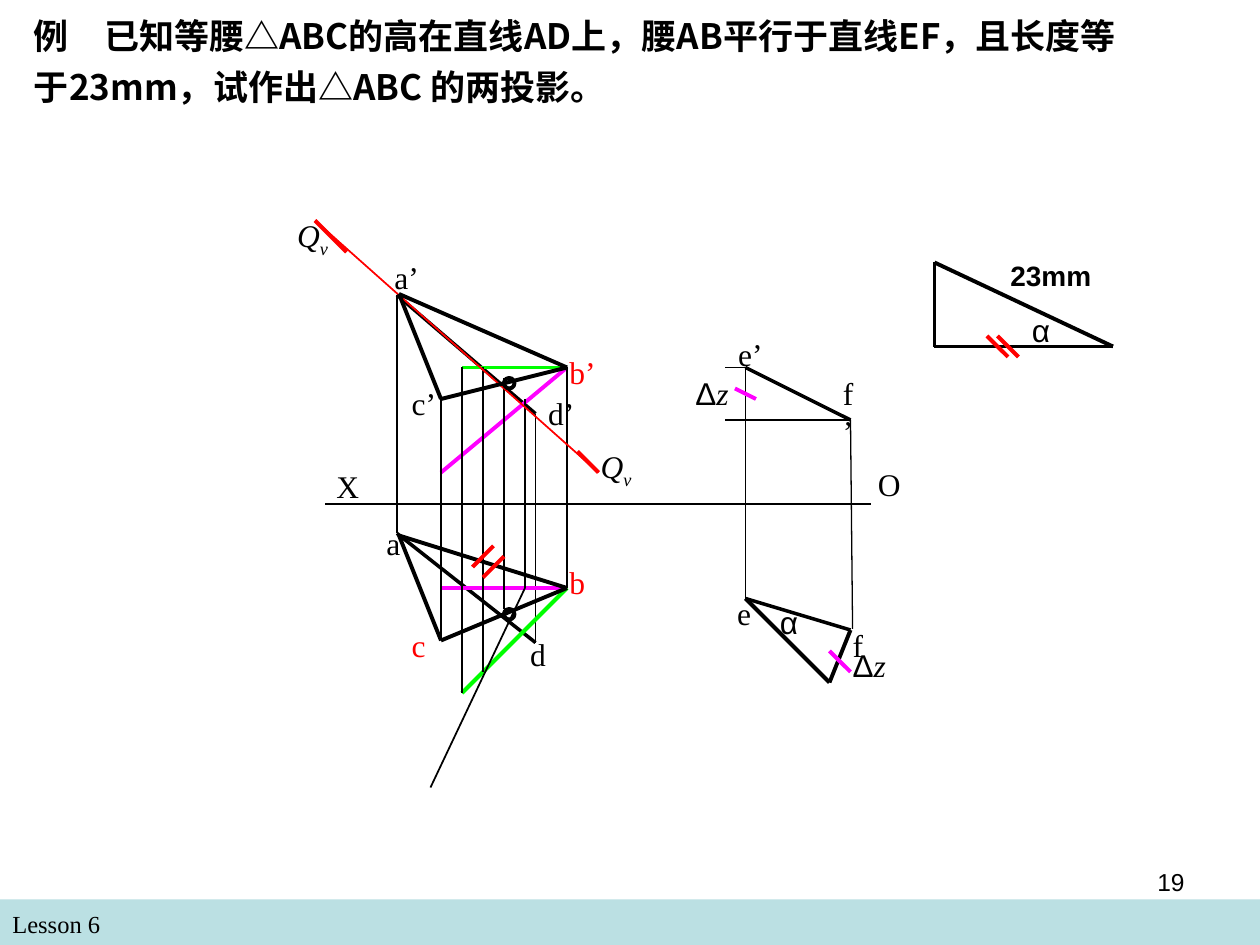
from dataclasses import dataclass

from lxml.etree import SubElement
from pptx import Presentation
from pptx.dml.color import RGBColor
from pptx.enum.shapes import MSO_CONNECTOR, MSO_SHAPE
from pptx.enum.text import MSO_ANCHOR, MSO_AUTO_SIZE, PP_ALIGN
from pptx.oxml.ns import qn
from pptx.util import Cm, Pt


@dataclass(frozen=True)
class Theme:
    black: str = "000000"
    red: str = "FF0000"
    green: str = "00FF00"
    magenta: str = "FF00FF"
    band: str = "BBE0E3"
    serif: str = "Times New Roman"
    sans: str = "Arial"
    heading: str = "Noto Sans CJK SC"
    title_size: float = 20
    label_size: float = 18
    measure_size: float = 16
    footer_size: float = 14
    hairline: float = 0.75
    projector: float = 1
    given: float = 2
    solution: float = 2.25


THEME = Theme()
GRID = 2.54 / 12


class SlideBuilder:
    def __init__(self, presentation, theme):
        self.theme = theme
        self.slide = presentation.slides.add_slide(presentation.slide_layouts[5])

    def add_run(self, paragraph, text, font=None, size=None, color=None,
                bold=False, italic=False, subscript=False):
        run = paragraph.add_run()
        run.text = text
        run.font.name = font or self.theme.serif
        run.font.size = Pt(size or self.theme.label_size)
        run.font.bold = bold
        run.font.italic = italic
        run.font.color.rgb = RGBColor.from_string(color or self.theme.black)
        properties = run.font._element
        SubElement(properties, qn("a:ea")).set("typeface", run.font.name)
        if subscript:
            properties.set("baseline", "-25000")

    def title(self, text, left, top, width, height):
        shape = self.slide.shapes.title
        shape.left, shape.top = Cm(left), Cm(top)
        shape.width, shape.height = Cm(width), Cm(height)
        frame = shape.text_frame
        frame.word_wrap = True
        frame.auto_size = MSO_AUTO_SIZE.NONE
        frame.vertical_anchor = MSO_ANCHOR.TOP
        paragraph = frame.paragraphs[0]
        paragraph.alignment = PP_ALIGN.LEFT
        paragraph.line_spacing = 1.2
        paragraph.space_before = Pt(0)
        self.add_run(paragraph, text, self.theme.heading, self.theme.title_size, bold=True)

    def label(self, runs, left, top, width, height=1.02, wrap=False, align=PP_ALIGN.LEFT):
        shape = self.slide.shapes.add_textbox(Cm(left), Cm(top), Cm(width), Cm(height))
        frame = shape.text_frame
        frame.word_wrap = wrap
        frame.auto_size = MSO_AUTO_SIZE.SHAPE_TO_FIT_TEXT
        paragraph = frame.paragraphs[0]
        paragraph.alignment = align
        for text, style in runs:
            self.add_run(paragraph, text, **style)

    def line(self, start, end, color, width):
        ends = [Cm(value * GRID) for value in (*start, *end)]
        connector = self.slide.shapes.add_connector(MSO_CONNECTOR.STRAIGHT, *ends)
        connector.line.color.rgb = RGBColor.from_string(color)
        connector.line.width = Pt(width)
        SubElement(connector._element.spPr, qn("a:effectLst"))

    def lines(self, segments, color, width):
        for start, end in segments:
            self.line(start, end, color, width)

    def circle(self, corner):
        left, top = (Cm(value * GRID) for value in corner)
        shape = self.slide.shapes.add_shape(MSO_SHAPE.OVAL, left, top, Cm(GRID), Cm(GRID))
        shape.shadow.inherit = False
        shape.fill.background()
        shape.line.color.rgb = RGBColor.from_string(self.theme.black)
        shape.line.width = Pt(self.theme.solution)

    def band(self, top, width, height):
        shape = self.slide.shapes.add_shape(
            MSO_SHAPE.RECTANGLE, Cm(0), Cm(top), Cm(width), Cm(height))
        shape.shadow.inherit = False
        shape.fill.solid()
        shape.fill.fore_color.rgb = RGBColor.from_string(self.theme.band)
        shape.line.fill.background()


def draw_projections(builder):
    theme = builder.theme
    a_front, b_front, c_front = (38, 28), (54, 35), (42, 38)
    a_top, b_top, c_top = (38, 51), (54, 56), (42, 61)
    a_front_given, d_front = (37.8, 28.1), (51, 39.4)
    a_top_given, d_top = (37.8, 50.8), (51, 61.2)
    e_front, f_front, e_top, f_top = (71, 35), (81, 40), (71, 57), (81, 60)
    middle_front, middle_top = (48, 36), (48, 58)
    green_front, green_top = (44, 35), (44, 66)
    magenta_front, magenta_top = (42, 45), (42, 56)
    trace_start, trace_end = (30, 21), (57, 45)
    length_end = (79, 65)
    triangle_top, triangle_corner, triangle_tip = (89, 25), (89, 33), (106, 33)

    builder.lines([
        ((31, 48), (83, 48)), (e_front, e_top), ((81.2, 59.9), f_front),
        (a_front_given, a_top_given), (d_front, d_top),
    ], theme.black, theme.hairline)
    builder.lines([
        (f_front, e_front), (e_top, f_top),
        (a_front_given, d_front), (a_top_given, d_top),
    ], theme.black, theme.given)
    builder.lines([(b_front, green_front), (b_top, green_top)], theme.green, theme.solution)
    builder.lines([(b_top, magenta_top), (b_front, magenta_front)],
                  theme.magenta, theme.solution)
    builder.lines([
        (b_front, b_top), (c_front, c_top), (magenta_front, magenta_top),
        (green_top, green_front), (middle_top, middle_front),
        ((46, 35), (46, 64)), ((50, 38), (50, 56)), ((50, 56), (41, 75)),
        (f_front, (69, 40)), (e_front, (69, 35)),
    ], theme.black, theme.projector)
    builder.line(trace_start, trace_end, theme.red, theme.projector)
    builder.lines([
        (a_front, b_front), (b_front, c_front), (a_front, c_front),
        (a_top, b_top), (b_top, c_top), (a_top, c_top),
        (f_top, length_end), (e_top, length_end),
        (triangle_top, triangle_corner), (triangle_corner, triangle_tip),
        (triangle_top, triangle_tip),
    ], theme.black, theme.solution)
    for corner in (middle_front, middle_top):
        builder.circle(corner)
    builder.lines([((72, 38), (70, 37)), ((79, 62), (81, 64))],
                  theme.magenta, theme.solution)
    builder.lines([
        ((55, 43), trace_end), ((33, 24), trace_start),
        ((94, 32), (96, 34)), ((95, 32), (97, 34)),
        ((47, 52), (45, 54)), ((48, 53), (46, 55)),
    ], theme.red, theme.solution)


def add_labels(builder):
    theme = builder.theme
    for text, left, top, width in [
        ("X", 6.53, 9.3, 0.97), ("O", 17.45, 9.25, 0.97),
        ("a’", 7.7, 5.08, 1.04), ("d’", 10.8, 7.82, 1.04),
        ("a", 7.54, 10.44, 0.79), ("d", 10.44, 12.67, 0.81),
        ("e’", 14.63, 6.63, 1.04), ("e", 14.61, 11.86, 0.79),
        ("f", 16.94, 12.5, 0.71), ("c’", 8.05, 7.62, 1.04),
    ]:
        builder.label([(text, {})], left, top, width)
    builder.label([("f’", {})], 16.74, 7.42, 0.91, wrap=True)
    for text, left, top, width in [
        ("b", 11.23, 11.23, 0.81), ("b’", 11.23, 6.99, 1.04), ("c", 8.05, 12.5, 0.79),
    ]:
        builder.label([(text, {"color": theme.red})], left, top, width)
    sans = {"font": theme.sans}
    italic = {"italic": True}
    for left, top in [(13.77, 7.42), (16.94, 12.9)]:
        builder.label([("Δ", sans), ("z", italic)], left, top, 1.27)
    for left, top in [(15.47, 12.04), (20.55, 6.15)]:
        builder.label([("α", sans)], left, top, 0.91)
    builder.label([("23mm", {**sans, "size": theme.measure_size, "bold": True})],
                  20.12, 5.08, 2.13, 0.94)
    for left, top in [(11.86, 8.89), (5.74, 4.24)]:
        builder.label([("Q", italic), ("v", {**italic, "subscript": True})],
                      left, top, 1.15, 1.12)


def main():
    presentation = Presentation()
    presentation.slide_width, presentation.slide_height = Cm(25.4), Cm(19.05)
    builder = SlideBuilder(presentation, THEME)
    footer = {"size": THEME.footer_size}
    builder.band(18.13, 25.4, 0.92)
    builder.label([("Lesson 6", footer)], 0, 18.2, 12.27, 0.86, wrap=True)
    builder.title("例　已知等腰△ABC的高在直线AD上，腰AB平行于直线EF，且长度等于23mm，"
                  "试作出△ABC 的两投影。", 0.43, 0, 22.58, 2.29)
    draw_projections(builder)
    add_labels(builder)
    builder.label([("19", {**footer, "font": THEME.sans})],
                  18.2, 17.36, 5.93, 1.32, wrap=True, align=PP_ALIGN.RIGHT)
    presentation.save("out.pptx")


if __name__ == "__main__":
    main()
